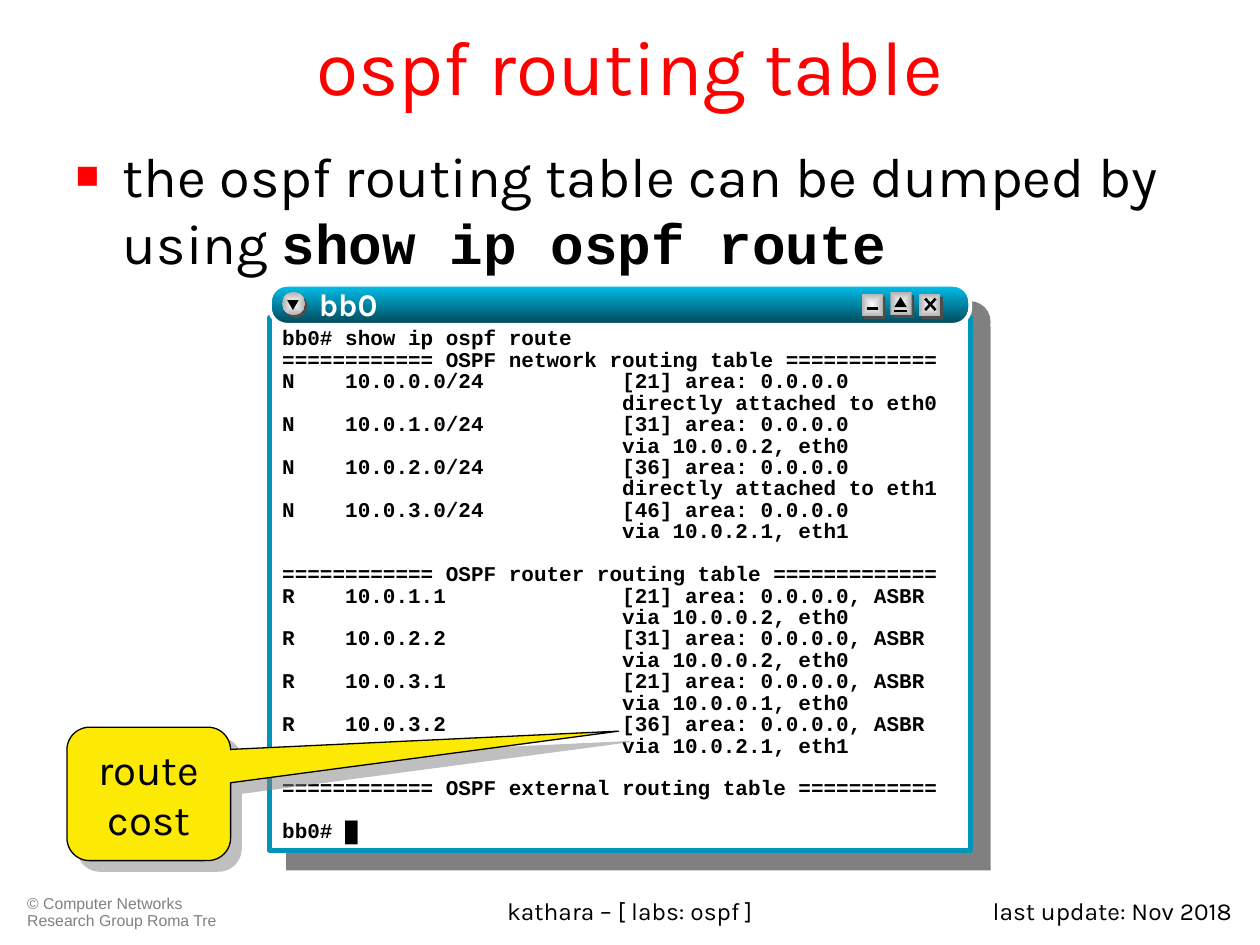
from dataclasses import dataclass
from typing import Any, NamedTuple

from lxml.etree import SubElement
from pptx import Presentation
from pptx.dml.color import RGBColor
from pptx.enum.shapes import MSO_CONNECTOR, MSO_SHAPE
from pptx.enum.text import MSO_ANCHOR, MSO_AUTO_SIZE, PP_ALIGN
from pptx.oxml.ns import qn
from pptx.util import Cm, Pt


@dataclass(frozen=True)
class Theme:
    accent: str = "FF0000"
    ink: str = "000000"
    paper: str = "FFFFFF"
    grey: str = "808080"
    dark: str = "4D4D4D"
    silver: str = "B2B2B2"
    frame: str = "0095B8"
    bar_top: str = "00C1EE"
    bar_bottom: str = "004656"
    callout: str = "FCEA04"
    sans: str = "Karla"
    mono: str = "Courier New"
    small: str = "Arial"
    title_size: float = 44
    body_size: float = 32
    callout_size: float = 24
    bar_size: float = 18
    footer_size: float = 14
    code_size: float = 12
    copyright_size: float = 9


class Area(NamedTuple):
    left: float
    top: float
    width: float
    height: float

    def lengths(self) -> list[Cm]:
        return [Cm(value) for value in self]


class Style(NamedTuple):
    name: str
    size: float
    color: str
    bold: bool = False


class Footer(NamedTuple):
    text: str
    area: Area
    style: Style
    format: dict[str, Any]


class Route(NamedTuple):
    kind: str
    target: str
    cost: int
    hop: str


class Button(NamedTuple):
    top: float
    strokes: list[tuple[float, float, float, float]]
    arrow: bool = False


THEME = Theme()
CODE = Style(THEME.mono, THEME.code_size, THEME.ink, True)
FOOT = Style(THEME.sans, THEME.footer_size, THEME.ink)
NO_MARGINS = dict.fromkeys(("margin_left", "margin_top", "margin_right", "margin_bottom"), 0)

FOOTERS = [
    Footer("© Computer Networks Research Group Roma Tre", Area(0.3, 17.93, 4.39, 0.91),
           Style(THEME.small, THEME.copyright_size, THEME.grey), {"line_spacing": 0.9}),
    Footer("last update: Nov 2018", Area(19.3, 17.93, 5.79, 0.91), FOOT, {"alignment": PP_ALIGN.RIGHT}),
    Footer("kathara – [ labs: ospf ]", Area(6.5, 17.93, 12.4, 0.91), FOOT, {"alignment": PP_ALIGN.CENTER}),
]
NETWORKS = [
    Route("N", "10.0.0.0/24", 21, "directly attached to eth0"),
    Route("N", "10.0.1.0/24", 31, "via 10.0.0.2, eth0"),
    Route("N", "10.0.2.0/24", 36, "directly attached to eth1"),
    Route("N", "10.0.3.0/24", 46, "via 10.0.2.1, eth1"),
]
ROUTERS = [
    Route("R", "10.0.1.1", 21, "via 10.0.0.2, eth0"),
    Route("R", "10.0.2.2", 31, "via 10.0.0.2, eth0"),
    Route("R", "10.0.3.1", 21, "via 10.0.0.1, eth0"),
    Route("R", "10.0.3.2", 36, "via 10.0.2.1, eth1"),
]
BUTTONS = [
    Button(5.92, [(0.1, 0.3, 0.33, 0.3)]),
    Button(5.89, [(0.08, 0.38, 0.33, 0.38)], arrow=True),
    Button(5.92, [(0.12, 0.33, 0.33, 0.1), (0.12, 0.1, 0.33, 0.33)]),
]


def apply(target: Any, values: dict[str, Any]) -> None:
    for name, value in values.items():
        setattr(target, name, value)


def add_span(para: Any, text: str, style: Style) -> Any:
    span = para.add_run()
    span.text = text
    apply(span.font, {"name": style.name, "size": Pt(style.size), "bold": style.bold})
    span.font.color.rgb = RGBColor.from_string(style.color)
    return span


def write(box: Any, text: str, style: Style, frame_format: dict[str, Any], para_format: dict[str, Any]) -> Any:
    apply(box.text_frame, {"word_wrap": True, "vertical_anchor": MSO_ANCHOR.TOP, **frame_format})
    para = box.text_frame.paragraphs[0]
    apply(para, para_format)
    return add_span(para, text, style)


def add_box(shapes: Any, preset: Any, area: Area, fill: str, line: str = "", width: float = 0) -> Any:
    box = shapes.add_shape(preset, *area.lengths())
    box.shadow.inherit = False
    box.fill.solid()
    box.fill.fore_color.rgb = RGBColor.from_string(fill)
    if line:
        box.line.color.rgb = RGBColor.from_string(line)
        box.line.width = Pt(width)
    else:
        box.line.fill.background()
    return box


def shade(box: Any, first: str, last: str, centred: bool = False) -> None:
    box.fill.gradient()
    box.fill.gradient_angle = 270
    for stop, color in zip(box.fill.gradient_stops, (first, last)):
        stop.color.rgb = RGBColor.from_string(color)
    if centred:
        gradient = box._element.spPr.find(qn("a:gradFill"))
        gradient.remove(gradient.find(qn("a:lin")))
        center = SubElement(gradient, qn("a:path"), {"path": "rect"})
        SubElement(center, qn("a:fillToRect"), dict.fromkeys("ltrb", "50000"))


def cast_shadow(effects: Any, color: str, distance: float, alpha: int) -> None:
    shadow = SubElement(effects, qn("a:outerShdw"), {
        "blurRad": "0", "dist": str(Pt(distance)), "dir": "2700000", "algn": "ctr", "rotWithShape": "0"})
    tint = SubElement(shadow, qn("a:srgbClr"), {"val": color})
    SubElement(tint, qn("a:alpha"), {"val": str(alpha * 1000)})


def add_knob(shapes: Any, preset: Any, area: Area) -> None:
    add_box(shapes, preset, area._replace(left=area.left + 0.05, top=area.top + 0.06), THEME.dark)
    shade(add_box(shapes, preset, area, THEME.paper), THEME.paper, THEME.silver, centred=True)


def add_button(shapes: Any, left: float, button: Button) -> None:
    add_knob(shapes, MSO_SHAPE.RECTANGLE, Area(left, button.top, 0.43, 0.46))
    for x1, y1, x2, y2 in button.strokes:
        ends = (left + x1, button.top + y1, left + x2, button.top + y2)
        stroke = shapes.add_connector(MSO_CONNECTOR.STRAIGHT, *[Cm(value) for value in ends])
        stroke.line.color.rgb = RGBColor.from_string(THEME.ink)
        stroke.line.width = Pt(1.5)
        SubElement(stroke._element.spPr, qn("a:effectLst"))
    if button.arrow:
        add_box(shapes, MSO_SHAPE.ISOSCELES_TRIANGLE, Area(left + 0.08, button.top + 0.1, 0.25, 0.2), THEME.ink)


def heading(name: str) -> str:
    return f"{'=' * 12} OSPF {name} routing table ".ljust(52, "=")


def route_lines(routes: list[Route], suffix: str = "") -> list[str]:
    return [line for route in routes for line in (
        f"{route.kind:<5}{route.target:<22}[{route.cost}] area: 0.0.0.0{suffix}", " " * 27 + route.hop)]


def add_terminal(page: Any) -> None:
    shapes = page.shapes.add_group_shape().shapes
    add_box(shapes, MSO_SHAPE.RECTANGLE, Area(5.77, 6.58, 14.2, 10.97), THEME.grey)
    add_box(shapes, MSO_SHAPE.ROUNDED_RECTANGLE, Area(5.77, 6.07, 14.2, 0.84), THEME.grey).adjustments[0] = 0.5
    screen = add_box(shapes, MSO_SHAPE.RECTANGLE, Area(5.44, 6.4, 14.12, 10.74), THEME.paper, THEME.frame, 3)
    apply(screen.text_frame, {"word_wrap": False, "vertical_anchor": MSO_ANCHOR.TOP, "margin_top": Cm(0.23)})
    blocks = [
        ["bb0# show ip ospf route", heading("network"), *route_lines(NETWORKS)],
        [heading("router"), *route_lines(ROUTERS, ", ASBR")],
        [heading("external")],
        ["bb0# █"],
    ]
    para = screen.text_frame.paragraphs[0]
    for block_number, block in enumerate(blocks):
        for row, line in enumerate(block):
            if block_number or row:
                para = screen.text_frame.add_paragraph()
            gap = Pt(12.2 if block_number and not row else 0)
            apply(para, {"alignment": PP_ALIGN.LEFT, "line_spacing": 0.85, "space_before": gap})
            add_span(para, line, CODE)
    bar = add_box(shapes, MSO_SHAPE.ROUNDED_RECTANGLE, Area(5.44, 5.74, 14.12, 0.81), THEME.frame, THEME.paper, 2.25)
    bar.adjustments[0] = 0.43
    shade(bar, THEME.bar_top, THEME.bar_bottom)
    add_knob(shapes, MSO_SHAPE.OVAL, Area(5.69, 5.89, 0.46, 0.46))
    add_box(shapes, MSO_SHAPE.ISOSCELES_TRIANGLE, Area(5.79, 6.05, 0.23, 0.2), THEME.ink).rotation = 180
    for number, button in enumerate(BUTTONS):
        add_button(shapes, 17.37 + number * 0.58, button)
    label = shapes.add_textbox(*Area(6.43, 5.74, 5.46, 0.81).lengths())
    span = write(label, "bb0", Style(THEME.sans, THEME.bar_size, THEME.paper, True), NO_MARGINS, {})
    effects = SubElement(span.font._element, qn("a:effectLst"))
    span.font._element.find(qn("a:solidFill")).addnext(effects)
    cast_shadow(effects, THEME.ink, 2, 100)


def add_callout(page: Any) -> None:
    box = add_box(page.shapes, MSO_SHAPE.ROUNDED_RECTANGULAR_CALLOUT, Area(1.35, 14.66, 3.3, 2.69),
                  THEME.callout, THEME.ink, 0.75)
    for number, value in enumerate((2.87, -0.47, 0.17)):
        box.adjustments[number] = value
    cast_shadow(box._element.spPr.find(qn("a:effectLst")), THEME.grey, 8.5, 50)
    write(box, "route cost", Style(THEME.sans, THEME.callout_size, THEME.ink),
          {"vertical_anchor": MSO_ANCHOR.MIDDLE}, {"alignment": PP_ALIGN.CENTER})


def fill_placeholders(page: Any) -> None:
    title, body = page.shapes.title, page.placeholders[1]
    areas = (Area(1.27, -0.28, 22.86, 3.18), Area(1.27, 2.72, 22.86, 12.57))
    for box, area in zip((title, body), areas):
        apply(box, dict(zip(("left", "top", "width", "height"), area.lengths())))
        box.text_frame.auto_size = MSO_AUTO_SIZE.NONE
    write(title, "ospf routing table", Style(THEME.sans, THEME.title_size, THEME.accent),
          {"vertical_anchor": MSO_ANCHOR.MIDDLE}, {"alignment": PP_ALIGN.CENTER})
    para = body.text_frame.paragraphs[0]
    layout = para._p.get_or_add_pPr()
    apply(para, {"space_before": Pt(0)})
    layout.set("marL", str(Cm(0.95)))
    layout.set("indent", str(Cm(-0.95)))
    SubElement(SubElement(layout, qn("a:buClr")), qn("a:srgbClr"), {"val": THEME.accent})
    SubElement(layout, qn("a:buSzPct"), {"val": "70000"})
    SubElement(layout, qn("a:buChar"), {"char": "■"})
    write(body, "the ospf routing table can be dumped by using ",
          Style(THEME.sans, THEME.body_size, THEME.ink), {}, {})
    add_span(para, "show ip ospf route", Style(THEME.mono, THEME.body_size, THEME.ink, True))


def main() -> None:
    deck = Presentation()
    apply(deck, {"slide_width": Cm(25.4), "slide_height": Cm(19.05)})
    page = deck.slides.add_slide(deck.slide_layouts[1])
    fill_placeholders(page)
    for footer in FOOTERS:
        box = page.shapes.add_textbox(*footer.area.lengths())
        write(box, footer.text, footer.style, {}, footer.format)
    add_terminal(page)
    add_callout(page)
    deck.save("out.pptx")


if __name__ == "__main__":
    main()
